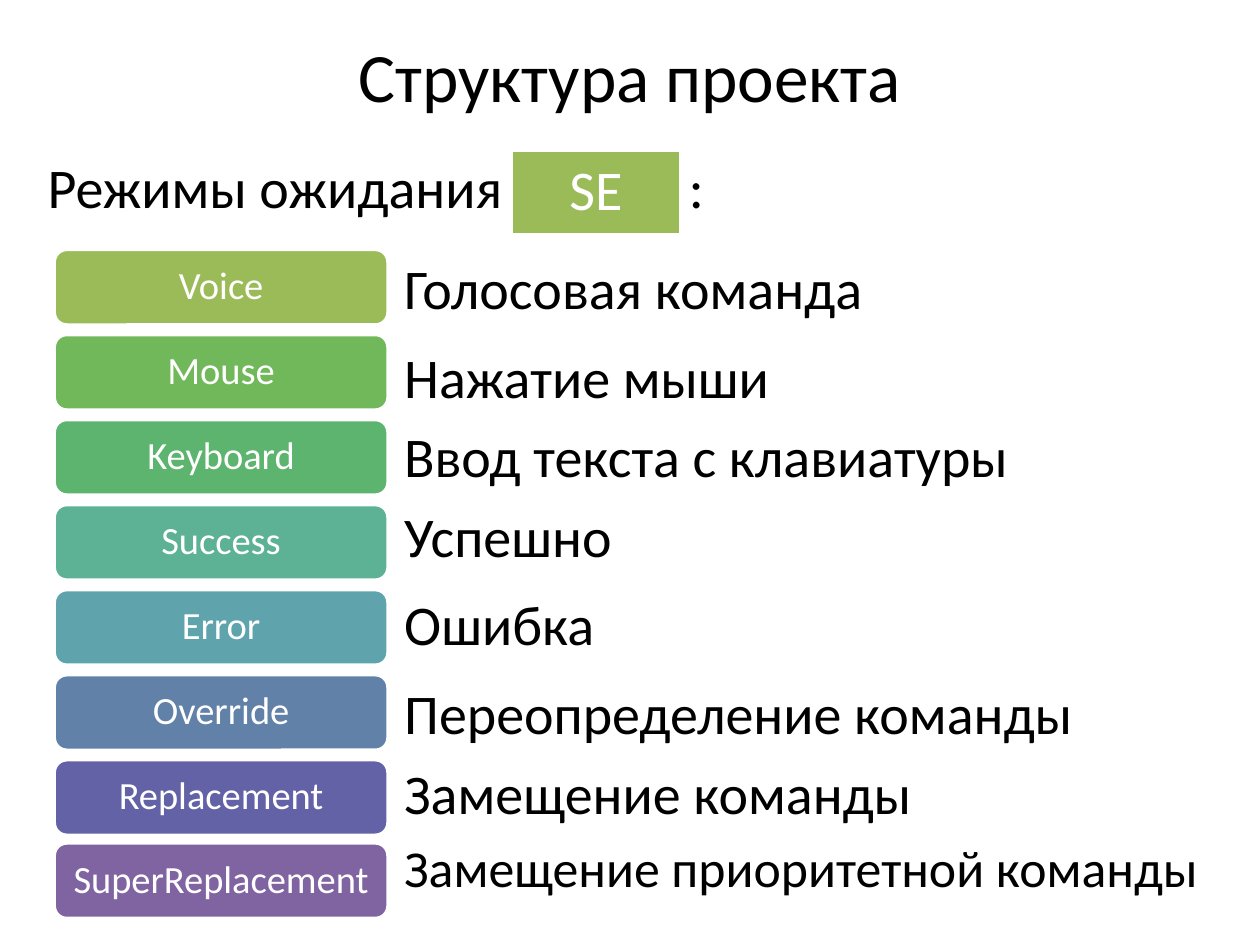
from lxml import etree
from pptx import Presentation
from pptx.dml.color import RGBColor
from pptx.enum import shapes, text
from pptx.oxml.ns import qn
from pptx.util import Inches, Pt

COLORS = {"text": "000000", "white": "FFFFFF", "se": "9BBB59"}

# Mode, description, fill, top of the description within the list, text size
MODES = [
    ("Voice", "Голосовая команда", "9BBB59", 0.04, 32),
    ("Mouse", "Нажатие мыши", "70B85A", 0.75, 32),
    ("Keyboard", "Ввод текста с клавиатуры", "5CB46F", 1.38, 32),
    ("Success", "Успешно", "5DB195", 2.01, 32),
    ("Error", "Ошибка", "5FA4AD", 2.71, 32),
    ("Override", "Переопределение команды", "6181A9", 3.42, 32),
    ("Replacement", "Замещение команды", "6362A6", 4.05, 32),
    ("SuperReplacement", "Замещение приоритетной команды", "8064A2", 4.6, 29.6),
]


def format_font(p, size, color):
    for r in p.runs:
        r.font.name = "Calibri"
        r.font.size = Pt(size)
        r.font.color.rgb = RGBColor.from_string(color)


def add_text(slide, box, content, size, spacing=None, align=text.PP_ALIGN.LEFT):
    tb = slide.shapes.add_textbox(*map(Inches, box))
    tf = tb.text_frame
    tf.word_wrap = True
    p = tf.paragraphs[0]
    p.text = content
    p.alignment = align
    if spacing:
        p.line_spacing = spacing
    format_font(p, size, COLORS["text"])
    return tf


def add_block(slide, kind, box, label, size, fill):
    sp = slide.shapes.add_shape(kind, *map(Inches, box))
    sp.shadow.inherit = False
    sp.fill.solid()
    sp.fill.fore_color.rgb = RGBColor.from_string(fill)
    sp.line.color.rgb = RGBColor.from_string(COLORS["white"])
    sp.line.width = Pt(2)
    tf = sp.text_frame
    tf.margin_left = tf.margin_right = Inches(0.05)
    tf.vertical_anchor = text.MSO_ANCHOR.MIDDLE
    p = tf.paragraphs[0]
    p.text = label
    p.alignment = text.PP_ALIGN.CENTER
    p.line_spacing = 0.9
    format_font(p, size, COLORS["white"])


def add_title(slide, box):
    tf = add_text(slide, box, "Структура проекта", 39.6, align=text.PP_ALIGN.CENTER)
    tf.margin_top = 0


def add_heading(slide, box):
    x, y, w, h = box
    # The tab leaves room for the SE block before the colon
    tf = add_text(slide, box, "Режимы ожидания\t:", 32)
    tabs = etree.SubElement(tf.paragraphs[0]._p.get_or_add_pPr(), qn("a:tabLst"))
    etree.SubElement(tabs, qn("a:tab"), pos=str(Inches(5.09)), algn="l")
    add_block(slide, shapes.MSO_SHAPE.RECTANGLE, (x + 3.78, y + 0.03, 1.34, 0.67),
              "SE", 32, COLORS["se"])


def add_modes(slide, box):
    x, y, w, h = box
    block_w, block_h, step, label_x = 2.65, 0.6, 0.675, 2.68
    for i, (mode, description, fill, top, size) in enumerate(MODES):
        block_y = y + min(i * step, h - block_h)
        add_block(slide, shapes.MSO_SHAPE.ROUNDED_RECTANGLE,
                  (x, block_y, block_w, block_h), mode, 22, fill)
        add_text(slide, (x + label_x, y + top, w - label_x, 0.63), description,
                 size, spacing=0.9 if size == 32 else None)


def main():
    prs = Presentation()
    prs.slide_width, prs.slide_height = Inches(10), Inches(7.5)
    slide = prs.slides.add_slide(prs.slide_layouts[6])
    add_title(slide, (0.5, 0.26, 9, 1.25))
    add_heading(slide, (0.28, 1.16, 9, 0.7))
    add_modes(slide, (0.43, 1.98, 9.57, 5.31))
    prs.save("out.pptx")


if __name__ == "__main__":
    main()
